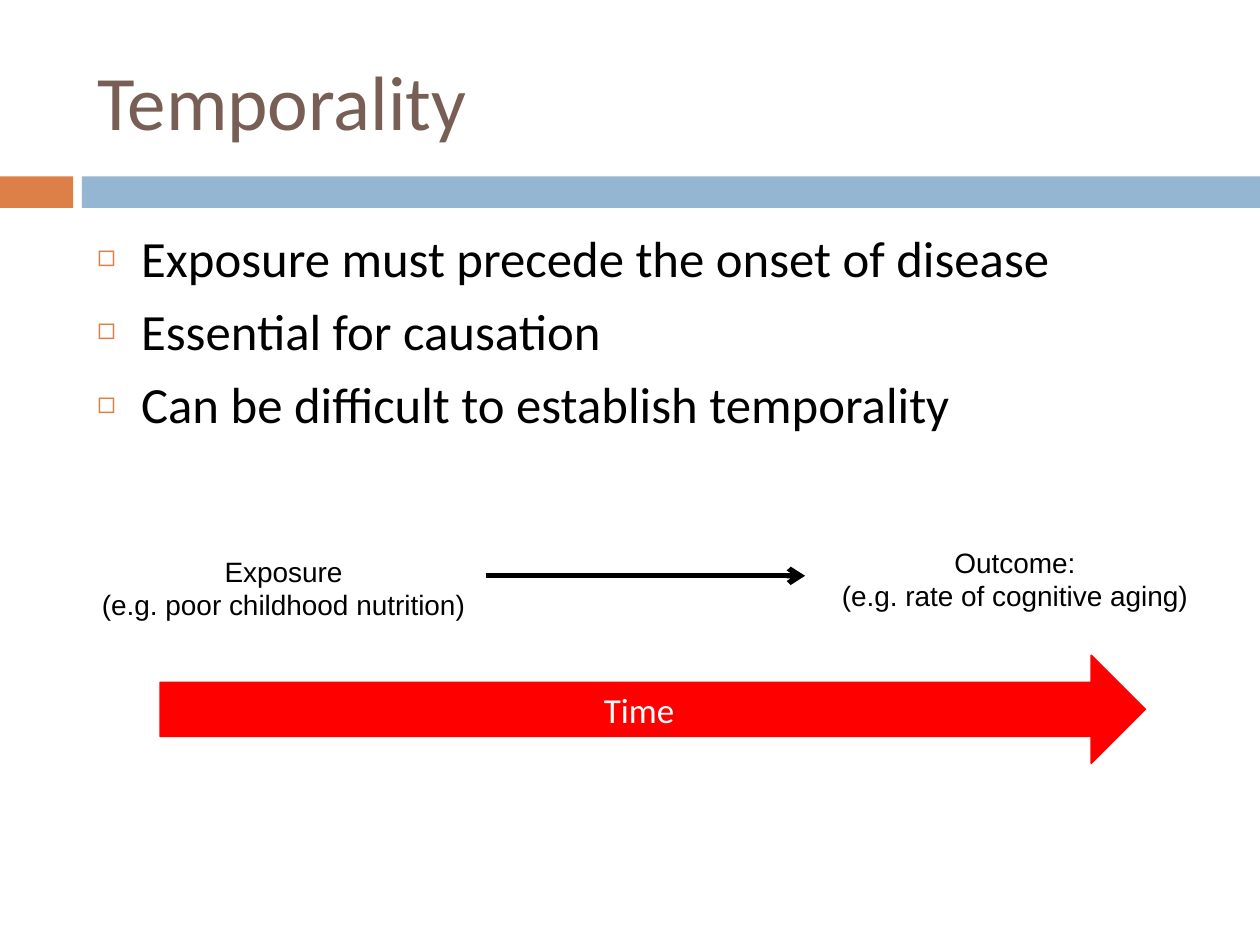
from lxml.etree import SubElement
from pptx import Presentation
from pptx.dml.color import RGBColor
from pptx.enum.shapes import MSO_CONNECTOR as Connector, MSO_SHAPE as Shape
from pptx.enum.text import MSO_ANCHOR as Anchor, MSO_AUTO_SIZE as AutoSize, PP_ALIGN as Align
from pptx.oxml.ns import qn
from pptx.util import Inches, Pt

WIDTH, HEIGHT = 10, 7.5
ORANGE, BLUE, BROWN = "DD8047", "94B6D2", "775F55"
BLACK, WHITE, RED = "000000", "FFFFFF", "FF0000"


def color(hex_text):
    return RGBColor.from_string(hex_text)


def set_all(target, values):
    for name, value in values.items():
        setattr(target, name, value)


def place(shape, box):
    set_all(shape, dict(zip(("left", "top", "width", "height"), map(Inches, box))))


def write(shape, lines, size, font, ink, align, **frame_format):
    """Fill a shape with one paragraph per line and return the paragraphs."""
    frame = shape.text_frame
    set_all(frame, {"word_wrap": True, "auto_size": AutoSize.NONE, **frame_format})
    frame.text = "\n".join(lines)
    for para in frame.paragraphs:
        para.alignment = align
        for span in para.runs:
            set_all(span.font, {"size": Pt(size), "name": font})
            span.font.color.rgb = color(ink)
    return frame.paragraphs


def add_block(shapes, kind, box, fill):
    block = shapes.add_shape(kind, *map(Inches, box))
    block.shadow.inherit = False
    block.fill.solid()
    block.fill.fore_color.rgb = color(fill)
    block.line.fill.background()
    return block


def add_bullet(para):
    props = para._p.get_or_add_pPr()
    props.set("marL", str(Inches(0.35)))
    props.set("indent", str(-Inches(0.35)))
    tint = SubElement(props, qn("a:buClr"))
    SubElement(tint, qn("a:srgbClr"), val=ORANGE)
    SubElement(props, qn("a:buSzPct"), val="60000")
    SubElement(props, qn("a:buChar"), char="\u25fb")


def add_band(page, box):
    """Two-colour strip with a narrow gap."""
    left, top, width, height = box
    tab, gap = 0.58, 0.07
    add_block(page.shapes, Shape.RECTANGLE, (left, top, tab, height), ORANGE)
    rest = (left + tab + gap, top, width - tab - gap, height)
    add_block(page.shapes, Shape.RECTANGLE, rest, BLUE)


def fill_title(page, box, text):
    title = page.shapes.title
    place(title, box)
    write(title, [text], 44, "Calibri", BROWN, Align.LEFT, vertical_anchor=Anchor.MIDDLE)


def fill_list(page, box, lines):
    body = page.placeholders[1]
    place(body, box)
    for para in write(body, lines, 29, "Calibri", BLACK, Align.LEFT):
        para.space_before = Pt(7)
        add_bullet(para)


def add_link(shapes, start, end):
    link = shapes.add_connector(Connector.STRAIGHT, *map(Inches, start + end))
    link.line.width = Pt(3)
    link.line.color.rgb = color(BLACK)
    SubElement(link.line._get_or_add_ln(), qn("a:tailEnd"), type="arrow")
    SubElement(link._element.spPr, qn("a:effectLst"))


def add_timeline(page, box):
    """Exposure and outcome joined by an arrow, above the time arrow."""
    left, top, width, height = box
    shapes = page.shapes.add_group_shape().shapes
    labels = [
        (0, 0.07, 3.12, ["Exposure", "(e.g. poor childhood nutrition)"]),
        (width - 2.99, 0, 2.99, ["Outcome:", "(e.g. rate of cognitive aging)"]),
    ]
    for x, y, label_width, lines in labels:
        label = shapes.add_textbox(*map(Inches, (left + x, top + y, label_width, 0.64)))
        write(label, lines, 16, "Arial", BLACK, Align.CENTER,
              word_wrap=False, auto_size=AutoSize.SHAPE_TO_FIT_TEXT)
    add_link(shapes, (left + 3.17, top + 0.29), (left + 5.7, top + 0.29))

    # Time arrow along the bottom
    arrow_box = (left + 0.58, top + height - 0.86, 7.82, 0.86)
    arrow = add_block(shapes, Shape.RIGHT_ARROW, arrow_box, RED)
    arrow.line.color.rgb = color(RED)
    arrow.line.width = Pt(0.79)
    write(arrow, ["Time"], 20, "Calibri", WHITE, Align.CENTER, vertical_anchor=Anchor.MIDDLE)


deck = Presentation()
set_all(deck, {"slide_width": Inches(WIDTH), "slide_height": Inches(HEIGHT)})
page = deck.slides.add_slide(deck.slide_layouts[1])
page.background.fill.solid()
page.background.fill.fore_color.rgb = color(WHITE)

add_band(page, (0, 1.4, WIDTH, 0.25))
fill_title(page, (0.67, 0.25, 8.92, 1.08), "Temporality")
fill_list(page, (0.67, 1.75, 8.92, 4.92), [
    "Exposure must precede the onset of disease",
    "Essential for causation",
    "Can be difficult to establish temporality",
])
add_timeline(page, (0.69, 4.28, 8.86, 1.78))

deck.save("out.pptx")
